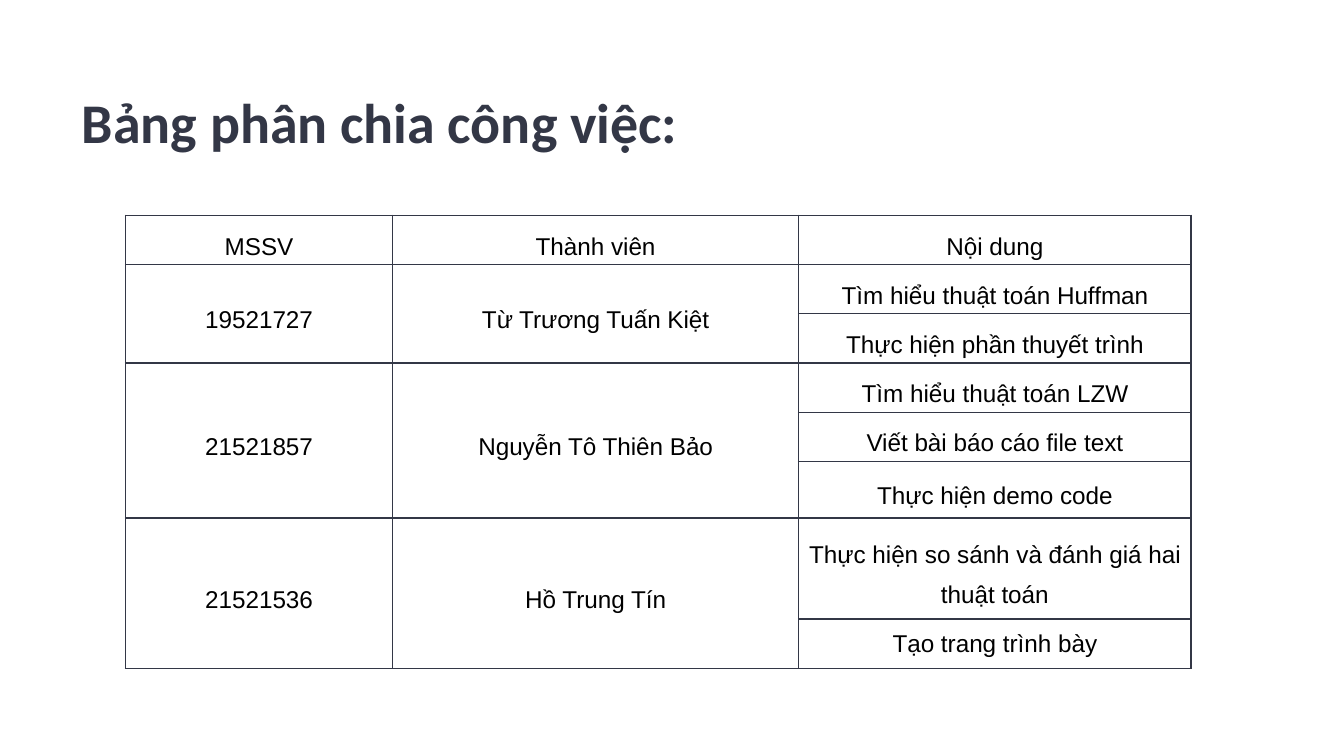
import pptx
import pptx.dml.color
import pptx.enum.text
import pptx.oxml
import pptx.oxml.ns
import pptx.util
from pptx.util import Cm

INK = "333746"
HEAD = ["MSSV", "Thành viên", "Nội dung"]
TEAM = [
    ("19521727", "Từ Trương Tuấn Kiệt",
     ["Tìm hiểu thuật toán Huffman", "Thực hiện phần thuyết trình"]),
    ("21521857", "Nguyễn Tô Thiên Bảo",
     ["Tìm hiểu thuật toán LZW", "Viết bài báo cáo file text", "Thực hiện demo code"]),
    ("21521536", "Hồ Trung Tín",
     ["Thực hiện so sánh và đánh giá hai thuật toán", "Tạo trang trình bày"]),
]
COLS = [5.05, 7.67, 7.42]
ROWS = [0.93] * 5 + [1.07, 1.91, 0.93]


def paint(font, name, size, color, bold=False):
    """Set the face, size, colour and weight of a font."""
    font.name, font.size, font.bold = name, pptx.util.Pt(size), bold
    font.color.rgb = pptx.dml.color.RGBColor.from_string(color)


def frame(cell):
    """Draw a thin line on all four sides of a cell and clear its fill."""
    props = cell._tc.get_or_add_tcPr()
    for side in "LRTB":
        props.append(pptx.oxml.parse_xml(
            f'<a:ln{side} {pptx.oxml.ns.nsdecls("a")} w="9525"><a:solidFill>'
            f'<a:srgbClr val="{INK}"/></a:solidFill></a:ln{side}>'))
    cell.fill.background()


def write(cell, text, gap=1.5):
    """Put centred text in a cell."""
    cell.text = text
    para = cell.text_frame.paragraphs[0]
    para.alignment = pptx.enum.text.PP_ALIGN.CENTER
    para.line_spacing = gap
    paint(para.font, "Arial", 13, "000000")


def title(slide, left, top, width, height):
    """Place the slide heading in the given box."""
    body = slide.shapes.add_textbox(Cm(left), Cm(top), Cm(width), Cm(height)).text_frame
    body.word_wrap = True
    body.margin_left = body.margin_right = Cm(0.25)
    body.margin_top = body.margin_bottom = Cm(0.25)
    para = body.paragraphs[0]
    para.text = "Bảng phân chia công việc:"
    para.line_spacing = 1.15
    paint(para.font, "Calibri", 30, INK, True)


def duties(slide, left, top, width, height):
    """Place the table of members and their tasks in the given box."""
    table = slide.shapes.add_table(
        len(ROWS), len(COLS), Cm(left), Cm(top), Cm(width), Cm(height)).table
    table.first_row = table.horz_banding = False
    for col, size in zip(table.columns, COLS):
        col.width = Cm(width * size / sum(COLS))
    for row, size in zip(table.rows, ROWS):
        row.height = Cm(height * size / sum(ROWS))
    for cell in table.iter_cells():
        frame(cell)
        cell.margin_left = cell.margin_right = Cm(0.18)
        cell.margin_top = cell.margin_bottom = 0
        cell.vertical_anchor = pptx.enum.text.MSO_ANCHOR.MIDDLE
    for col, text in enumerate(HEAD):
        write(table.cell(0, col), text)
    row = 1
    for code, name, tasks in TEAM:
        last = row + len(tasks) - 1
        for col, text in enumerate((code, name)):
            table.cell(row, col).merge(table.cell(last, col))
            write(table.cell(row, col), text)
        for step, task in enumerate(tasks):
            final = row + step == len(ROWS) - 1
            write(table.cell(row + step, 2), task, 1.07 if final else 1.5)
        row = last + 1


def main():
    """Build and save the slide."""
    deck = pptx.Presentation()
    deck.slide_width, deck.slide_height = Cm(25.4), Cm(14.29)
    slide = deck.slides.add_slide(deck.slide_layouts[6])
    duties(slide, 2.37, 4.07, sum(COLS), sum(ROWS))
    title(slide, 1.3, 1.22, 21.44, 2)
    deck.save("out.pptx")


if __name__ == "__main__":
    main()
